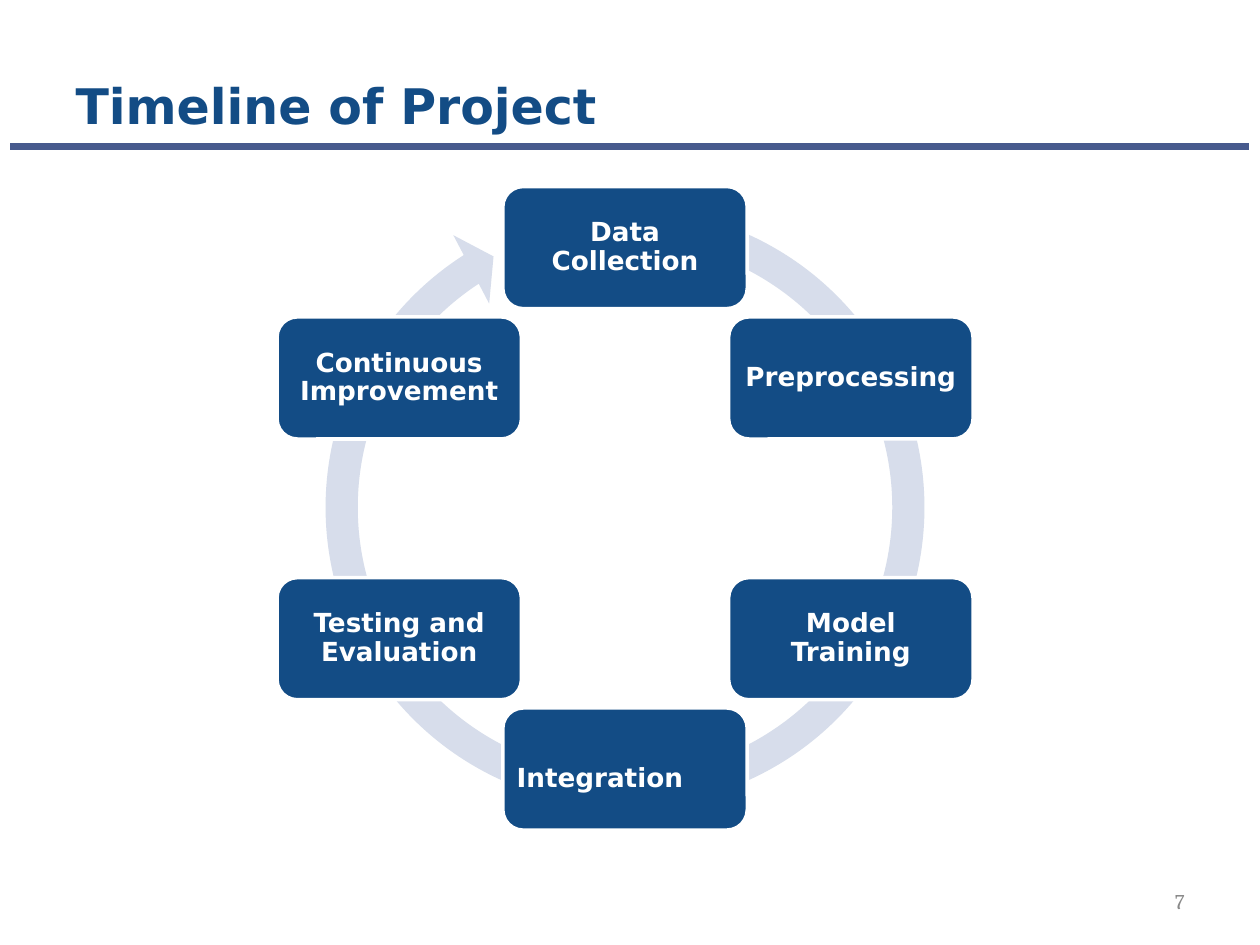
import math

from lxml import etree
from pptx import Presentation
from pptx.dml.color import RGBColor
from pptx.enum import shapes, text
from pptx.oxml.ns import qn
from pptx.util import Pt

NAVY = "134C85"
WHITE = "FFFFFF"
STAGES = ["Data Collection", "Preprocessing", "Model Training",
          "Integration", "Testing and Evaluation", "Continuous Improvement"]


def color(hex_code):
    """Turn a hex string into a colour."""
    return RGBColor.from_string(hex_code)


def place(part, box):
    """Move a part to a box of left, top, width and height in points."""
    part.left, part.top, part.width, part.height = map(Pt, box)


def write(frame, words, size, font, hex_code, align, anchor, bold=False):
    """Write one formatted run into a text frame and return its paragraph."""
    frame.word_wrap = True
    frame.vertical_anchor = anchor
    paragraph = frame.paragraphs[0]
    paragraph.alignment = align
    run = paragraph.add_run()
    run.text = words
    run.font.size = Pt(size)
    run.font.name = font
    run.font.bold = bold
    run.font.color.rgb = color(hex_code)
    return paragraph


def add_header(slide, box):
    """Format the title and draw the rule beneath it."""
    left, top, width, height = box
    title = slide.shapes.title
    place(title, box)
    write(title.text_frame, "Timeline of Project", 28, "DejaVu Sans", NAVY,
          text.PP_ALIGN.LEFT, text.MSO_ANCHOR.BOTTOM, True)
    rule_y = top + height + 3.5
    rule = slide.shapes.add_connector(
        shapes.MSO_CONNECTOR.STRAIGHT, Pt(left - 30), Pt(rule_y),
        Pt(left + width + 30), Pt(rule_y))
    rule.line.color.rgb = color("475A8D")
    rule.line.width = Pt(4)
    etree.SubElement(rule._element.spPr, qn("a:effectLst"))


def add_stage(slide, words, box):
    """Draw one stage of the cycle as a rounded card."""
    card = slide.shapes.add_shape(
        shapes.MSO_SHAPE.ROUNDED_RECTANGLE, *map(Pt, box))
    card.shadow.inherit = False
    card.fill.solid()
    card.fill.fore_color.rgb = color(NAVY)
    card.line.color.rgb = color(WHITE)
    card.line.width = Pt(2)
    frame = card.text_frame
    frame.margin_left = frame.margin_right = Pt(4.5)
    frame.margin_top = frame.margin_bottom = Pt(4.5)
    is_integration = words == "Integration"
    align = text.PP_ALIGN.LEFT if is_integration else text.PP_ALIGN.CENTER
    paragraph = write(frame, words, 15, "DejaVu Sans", WHITE, align,
                      text.MSO_ANCHOR.MIDDLE, True)
    paragraph.line_spacing = 1.5 if is_integration else 0.9


def add_cycle(slide, box):
    """Draw the circular arrow and spread the stages evenly around it."""
    left, top, width, height = box
    ring = slide.shapes.add_shape(
        shapes.MSO_SHAPE.CIRCULAR_ARROW, *map(Pt, box))
    ring.shadow.inherit = False
    ring.fill.solid()
    ring.fill.fore_color.rgb = color("D7DDEB")
    ring.line.fill.background()
    for index, value in enumerate([0.05, 3.13, 142.28, 171.27, 0.06]):
        ring.adjustments[index] = value
    center_x, center_y = left + width / 2, top + height / 2 + 0.5
    radius, card_width, card_height = 149, 139.7, 69.8
    for index, stage in enumerate(STAGES):
        angle = math.tau * index / len(STAGES)
        x = center_x + radius * math.sin(angle) - card_width / 2
        y = center_y - radius * math.cos(angle) - card_height / 2
        add_stage(slide, stage, (x, y, card_width, card_height))


def add_page_number(slide, box):
    """Write the page number at the right of its box."""
    number = slide.shapes.add_textbox(*map(Pt, box))
    write(number.text_frame, "7", 12, "Cambria", "898989",
          text.PP_ALIGN.RIGHT, text.MSO_ANCHOR.MIDDLE)


def main():
    """Build the slide and save it."""
    deck = Presentation()
    deck.slide_width, deck.slide_height = Pt(720), Pt(540)
    slide = deck.slides.add_slide(deck.slide_layouts[5])
    add_header(slide, (36, 24.5, 648, 56))
    add_cycle(slide, (173.2, 106, 368, 368))
    add_page_number(slide, (516, 500.5, 168, 28.8))
    deck.save("out.pptx")


if __name__ == "__main__":
    main()
